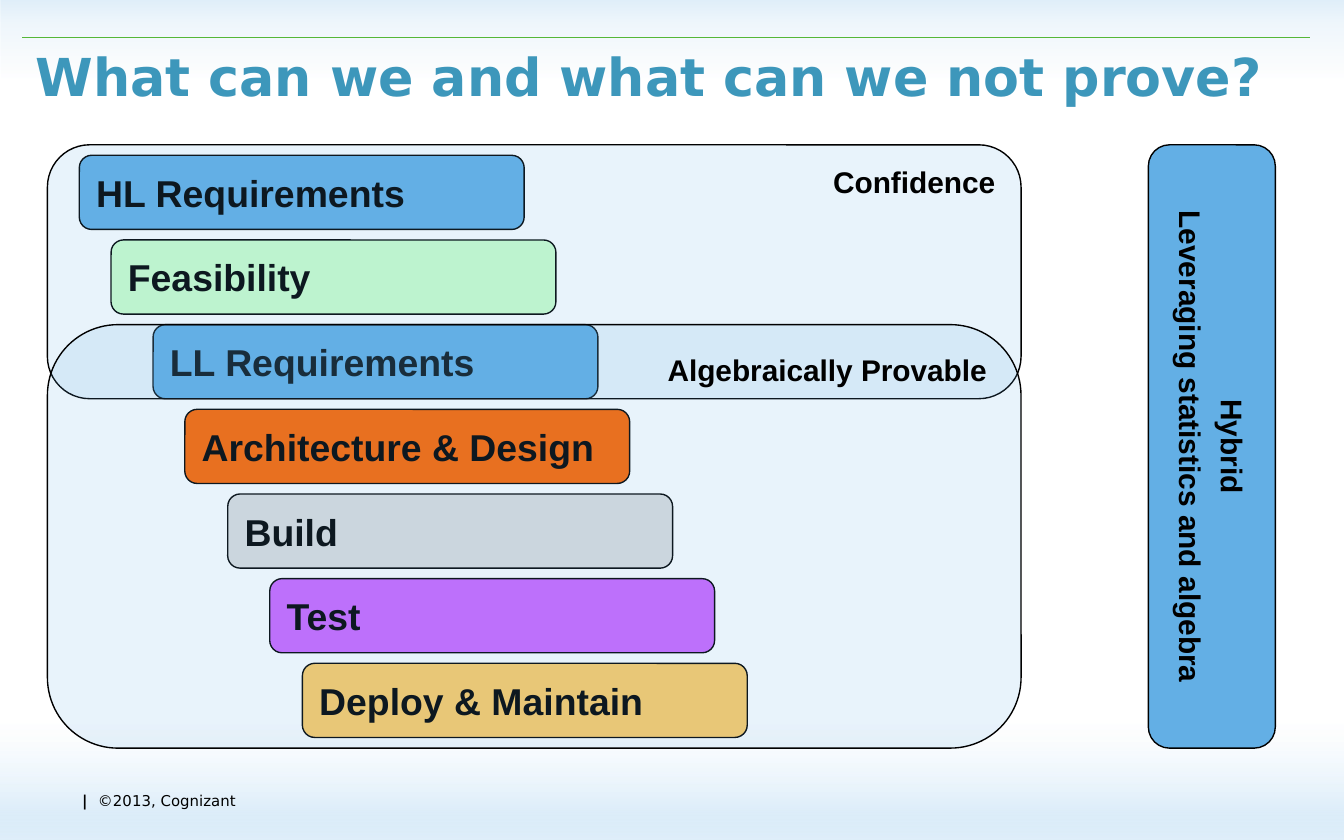
from dataclasses import dataclass
from typing import NamedTuple, Optional

from lxml import etree
from pptx import Presentation
from pptx import util as u
from pptx.dml.color import RGBColor
from pptx.enum import shapes, text
from pptx.oxml import ns

Pt = u.Pt


@dataclass(frozen=True)
class Theme:
    ink: str = "000000"
    title: str = "3D97BB"
    rule: str = "55B738"
    blue: str = "63AFE5"
    green: str = "CCFFCC"
    orange: str = "FF6600"
    grey: str = "DDDDDD"
    purple: str = "CC66FF"
    gold: str = "FFCC66"
    heading_font: str = "DejaVu Sans"
    body_font: str = "Arial"
    title_size: float = 28
    bar_size: float = 20
    label_size: float = 16
    footer_size: float = 8
    line_width: float = 0.75


class Box(NamedTuple):
    left: float
    top: float
    width: float
    height: float


class Stop(NamedTuple):
    position: int
    color: str
    alpha: int


class Phase(NamedTuple):
    label: str
    left: float
    color: str


class Panel(NamedTuple):
    label: str
    box: Box


T = Theme()
PHASES = [
    Phase("HL Requirements", 42.5, T.blue),
    Phase("Feasibility", 59.5, T.green),
    Phase("LL Requirements", 82, T.blue),
    Phase("Architecture & Design", 99, T.orange),
    Phase("Build", 122, T.grey),
    Phase("Test", 144.5, T.purple),
    Phase("Deploy & Maintain", 162, T.gold),
]
BAR = Box(0, 83.2, 238.3, 39.7)
BAR_PITCH = 45.36
PANEL_LEFT, PANEL_WIDTH = 25.4, 521.6
PANEL_TOP, PANEL_BOTTOM = 77.6, 400.8
PROVABLE_TOP = BAR.top + 2 * BAR_PITCH
CONFIDENCE_BOTTOM = PROVABLE_TOP + BAR.height
PANELS = [
    Panel("Confidence", Box(PANEL_LEFT, PANEL_TOP, PANEL_WIDTH, CONFIDENCE_BOTTOM - PANEL_TOP)),
    Panel("Algebraically Provable",
          Box(PANEL_LEFT, PROVABLE_TOP, PANEL_WIDTH, PANEL_BOTTOM - PROVABLE_TOP)),
]
HYBRID = Box(615.2, PANEL_TOP, 68, PANEL_BOTTOM - PANEL_TOP)
TOP_BAND = Box(0, 0, 720, 50)
BOTTOM_BAND = Box(0, 375, 720, 75)
TOP_STOPS = [Stop(0, "C1DFF5", 50), Stop(25, "E0EFFA", 50), Stop(84, "FFFFFF", 50)]
BOTTOM_STOPS = [Stop(0, "C1DFF5", 50), Stop(25, "E0EFFA", 100), Stop(84, "FFFFFF", 50)]


def rgb(color: str) -> RGBColor:
    return RGBColor.from_string(color)


def points(box: Box) -> list[u.Length]:
    return [Pt(v) for v in box]


def set_font(p, name: str, size: float, color: str, bold: Optional[bool] = True) -> None:
    f = p.font
    f.name, f.size, f.bold = name, Pt(size), bold
    f.color.rgb = rgb(color)


def add_band(s, box: Box, stops: list[Stop], rotation: float = 0) -> None:
    sp = s.shapes.add_shape(shapes.MSO_SHAPE.RECTANGLE, *points(box))
    sp.shadow.inherit = False
    sp.line.fill.background()
    sp.rotation = rotation
    sp.fill.gradient()
    sp.fill.gradient_angle = 90
    gs_list = sp._element.spPr.find(".//" + ns.qn("a:gsLst"))
    for old in list(gs_list):
        gs_list.remove(old)
    for stop in stops:
        gs = etree.SubElement(gs_list, ns.qn("a:gs"), pos=str(stop.position * 1000))
        clr = etree.SubElement(gs, ns.qn("a:srgbClr"), val=stop.color)
        etree.SubElement(clr, ns.qn("a:alpha"), val=str(stop.alpha * 1000))


def add_block(s, box: Box, color: str, lines: list[str], size: float, align, anchor,
              alpha: int = 100, vertical: bool = False) -> None:
    sp = s.shapes.add_shape(shapes.MSO_SHAPE.ROUNDED_RECTANGLE, *points(box))
    sp.shadow.inherit = False
    sp.fill.solid()
    sp.fill.fore_color.rgb = rgb(color)
    if alpha < 100:
        clr = sp._element.spPr.find(ns.qn("a:solidFill"))[0]
        etree.SubElement(clr, ns.qn("a:alpha"), val=str(alpha * 1000))
    sp.line.color.rgb = rgb(T.ink)
    sp.line.width = Pt(T.line_width)
    tf = sp.text_frame
    tf.word_wrap = True
    tf.vertical_anchor = anchor
    if vertical:
        tf._txBody.bodyPr.set("vert", "vert")
    for i, line in enumerate(lines):
        p = tf.add_paragraph() if i else tf.paragraphs[0]
        p.text = line
        p.alignment = align
        if i:
            p.space_before = Pt(0.2 * size)
        set_font(p, T.body_font, size, T.ink)


def add_rule(s) -> None:
    cn = s.shapes.add_connector(shapes.MSO_CONNECTOR.STRAIGHT, Pt(12), Pt(20), Pt(702), Pt(20))
    cn.line.color.rgb = rgb(T.rule)
    cn.line.width = Pt(T.line_width)
    etree.SubElement(cn._element.spPr, ns.qn("a:effectLst"))


def add_title(s) -> None:
    tf = s.shapes.add_textbox(Pt(12), Pt(20), Pt(678), Pt(65)).text_frame
    tf.word_wrap = True
    p = tf.paragraphs[0]
    p.text = "What can we and what can we not prove?"
    set_font(p, T.heading_font, T.title_size, T.title)


def add_footer(s) -> None:
    tf = s.shapes.add_textbox(Pt(18), Pt(412), Pt(408), Pt(15)).text_frame
    tf.word_wrap = True
    tf.margin_left = Pt(26)
    p = tf.paragraphs[0]
    p.line_spacing = 1.9
    tabs = etree.SubElement(p._p.get_or_add_pPr(), ns.qn("a:tabLst"))
    etree.SubElement(tabs, ns.qn("a:tab"), pos=str(Pt(8.5)), algn="l")
    set_font(p, T.heading_font, T.footer_size, T.ink, None)
    for words, bold in (("|\t", True), ("©2013, Cognizant", False)):
        r = p.add_run()
        r.text = words
        r.font.bold = bold


def main() -> None:
    prs = Presentation()
    prs.slide_width, prs.slide_height = Pt(720), Pt(450)
    s = prs.slides.add_slide(prs.slide_layouts[6])
    left, center, right = text.PP_ALIGN.LEFT, text.PP_ALIGN.CENTER, text.PP_ALIGN.RIGHT
    top, middle = text.MSO_ANCHOR.TOP, text.MSO_ANCHOR.MIDDLE

    add_band(s, TOP_BAND, TOP_STOPS, rotation=180)
    add_band(s, BOTTOM_BAND, BOTTOM_STOPS)
    add_footer(s)
    add_rule(s)
    add_title(s)
    for i, phase in enumerate(PHASES):
        box = BAR._replace(left=phase.left, top=BAR.top + i * BAR_PITCH)
        add_block(s, box, phase.color, [phase.label], T.bar_size, left, middle)
    for panel in PANELS:
        add_block(s, panel.box, T.blue, [panel.label], T.label_size, right, top, alpha=14)
    add_block(s, HYBRID, T.blue, ["Hybrid", "Leveraging statistics and algebra"],
              T.label_size, center, middle, vertical=True)
    prs.save("out.pptx")


if __name__ == "__main__":
    main()
